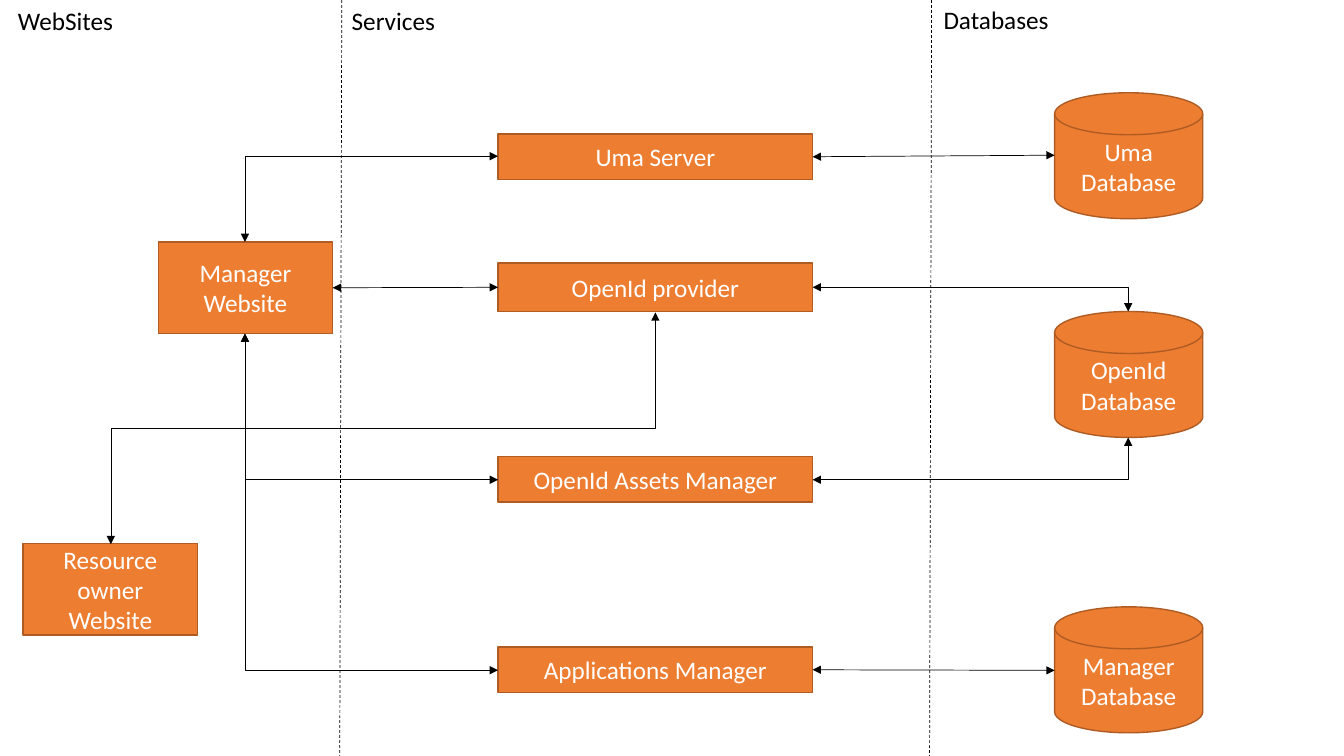
from dataclasses import dataclass

from lxml import etree
from pptx import Presentation
from pptx import util as u
from pptx.dml.color import RGBColor
from pptx.enum import dml, shapes, text
from pptx.oxml import ns


@dataclass(frozen=True)
class Theme:
    fill: RGBColor = RGBColor(0xED, 0x7D, 0x31)
    outline: RGBColor = RGBColor(0xAF, 0x5C, 0x24)
    label: RGBColor = RGBColor(0xFF, 0xFF, 0xFF)
    ink: RGBColor = RGBColor(0, 0, 0)
    font: str = "Calibri"
    size: u.Pt = u.Pt(18)
    box_line: u.Pt = u.Pt(1)
    arrow_line: u.Pt = u.Pt(0.5)


theme = Theme()
deck = Presentation()
deck.slide_width, deck.slide_height = u.Inches(13.33), u.Inches(7.5)
slide = deck.slides.add_slide(deck.slide_layouts[6])


def write(part, words, color, frame_format, align):
    frame = part.text_frame
    for name, value in frame_format.items():
        setattr(frame, name, value)
    paragraph = frame.paragraphs[0]
    paragraph.alignment = align
    run = paragraph.add_run()
    run.text = words
    for name, value in {"name": theme.font, "size": theme.size}.items():
        setattr(run.font, name, value)
    run.font.color.rgb = color


def connect(kind, start, end, arrows=True):
    points = [u.Inches(value) for value in (*start, *end)]
    link = slide.shapes.add_connector(kind, *points)
    link.line.color.rgb = theme.ink
    link.line.width = theme.arrow_line
    if arrows:
        line = link.line._get_or_add_ln()
        for tip in ("a:headEnd", "a:tailEnd"):
            etree.SubElement(line, ns.qn(tip), type="triangle")
    else:
        link.line.dash_style = dml.MSO_LINE.DASH
    etree.SubElement(link._element.spPr, ns.qn("a:effectLst"))
    return link


# Websites, services and databases
RECT = shapes.MSO_SHAPE.RECTANGLE
DISK = shapes.MSO_SHAPE.FLOWCHART_MAGNETIC_DISK
STRAIGHT, ELBOW = shapes.MSO_CONNECTOR.STRAIGHT, shapes.MSO_CONNECTOR.ELBOW
components = [
    ("OpenId provider", RECT, 4.94, 2.61, 3.12, 0.48),
    ("Uma Server", RECT, 4.94, 1.33, 3.12, 0.45),
    ("OpenId Assets Manager", RECT, 4.94, 4.53, 3.12, 0.45),
    ("Applications Manager", RECT, 4.94, 6.42, 3.12, 0.45),
    ("Manager Website", RECT, 1.57, 2.4, 1.73, 0.91),
    ("Resource owner Website", RECT, 0.23, 5.39, 1.73, 0.91),
    ("Uma Database", DISK, 10.46, 0.92, 1.47, 1.25),
    ("OpenId Database", DISK, 10.46, 3.09, 1.47, 1.25),
    ("Manager Database", DISK, 10.46, 6.02, 1.47, 1.25),
]
placed = {}
for name, kind, *box in components:
    component = slide.shapes.add_shape(kind, *[u.Inches(value) for value in box])
    component.shadow.inherit = False
    component.fill.solid()
    component.fill.fore_color.rgb = theme.fill
    component.line.color.rgb = theme.outline
    component.line.width = theme.box_line
    write(component, name, theme.label,
          {"word_wrap": True, "vertical_anchor": text.MSO_ANCHOR.MIDDLE},
          text.PP_ALIGN.CENTER)
    placed[name] = component

# Column headings
for heading, left, top, width in [("WebSites", 0.08, 0, 1.16),
                                  ("Services", 3.39, 0, 1.04),
                                  ("Databases", 9.26, -0.01, 1.26)]:
    title = slide.shapes.add_textbox(u.Inches(left), u.Inches(top),
                                     u.Inches(width), u.Inches(0.4))
    write(title, heading, theme.ink,
          {"word_wrap": False, "auto_size": text.MSO_AUTO_SIZE.SHAPE_TO_FIT_TEXT},
          text.PP_ALIGN.LEFT)

# Column dividers
for divider_x in (3.39, 9.24):
    connect(STRAIGHT, (divider_x, 0), (divider_x - 0.02, 7.5), arrows=False)

# Straight arrows
for service, database_y in [("Uma Server", 1.54), ("Applications Manager", 6.65)]:
    access = connect(STRAIGHT, (8.06, database_y), (10.46, database_y))
    access.begin_connect(placed[service], 3)
    access.end_x, access.end_y = u.Inches(10.46), u.Inches(database_y)
login = connect(STRAIGHT, (3.3, 2.85), (4.94, 2.85))
login.begin_connect(placed["Manager Website"], 3)
login.end_connect(placed["OpenId provider"], 1)

# One-bend arrows leave a service sideways and turn toward their target
for start, end in [((8.06, 2.85), (11.19, 3.09)),
                   ((8.06, 4.76), (11.19, 4.34)),
                   ((4.94, 1.55), (2.43, 2.4)),
                   ((4.94, 4.76), (2.43, 3.31)),
                   ((4.94, 6.65), (2.43, 3.31))]:
    corner = connect(ELBOW, start, end)
    corner._element.spPr.find(ns.qn("a:prstGeom")).set("prst", "bentConnector2")

# Two-bend arrow, turned a quarter so that it leaves vertically
owner_login = connect(ELBOW, (4.95, 6.95), (2.65, 1.55))
owner_login._element.spPr.find(ns.qn("a:xfrm")).set("rot", str(90 * 60000))

deck.save("out.pptx")
